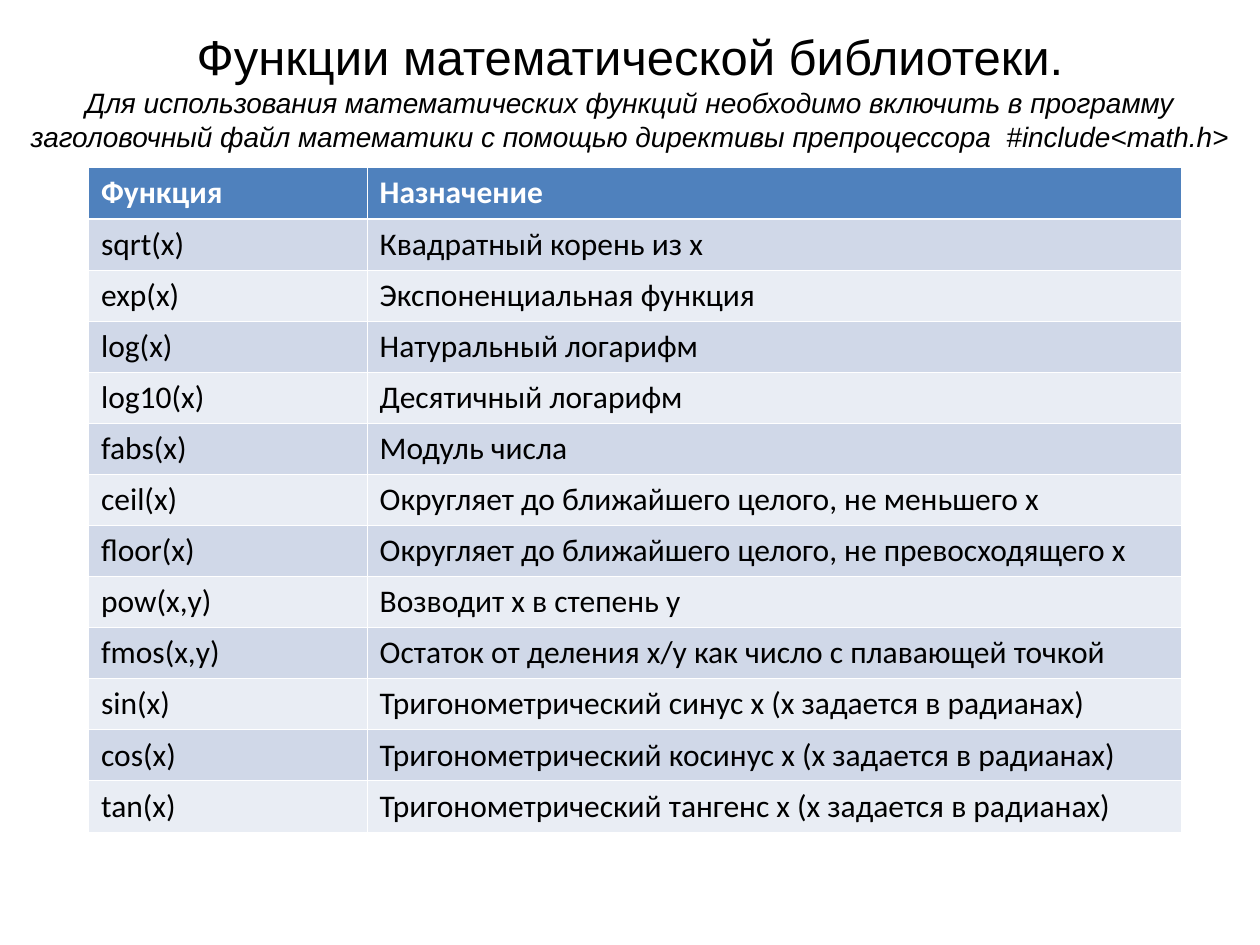
from dataclasses import dataclass

from lxml import etree
from pptx import Presentation
from pptx.dml.color import RGBColor
from pptx.enum.text import PP_ALIGN
from pptx.oxml.ns import qn
from pptx.util import Pt

CENTER, LEFT = PP_ALIGN.CENTER, PP_ALIGN.LEFT


@dataclass(frozen=True)
class Theme:
    black: str = "000000"
    white: str = "FFFFFF"
    header: str = "4F81BD"
    bands: tuple = ("D0D8E8", "E9EDF4")
    heading_font: str = "Arial"
    table_font: str = "Calibri"
    title_size: float = 28
    note_size: float = 16
    table_size: float = 18
    thin: float = 0.45
    thick: float = 1.47


theme = Theme()


def write(frame, text, align, color, **formats):
    para = frame.paragraphs[0]
    para.alignment = align
    span = para.add_run()
    span.text = text
    span.font.color.rgb = RGBColor.from_string(color)
    for name, value in formats.items():
        setattr(span.font, name, value)


def add_border(cell, side, width):
    line = etree.SubElement(cell._tc.get_or_add_tcPr(), qn(f"a:{side}"), w=str(Pt(width)))
    fill = etree.SubElement(line, qn("a:solidFill"))
    etree.SubElement(fill, qn("a:srgbClr"), val=theme.white)


deck = Presentation()
deck.slide_width, deck.slide_height = Pt(720), Pt(540)
page = deck.slides.add_slide(deck.slide_layouts[6])

# Title and the note under it
headings = [
    ("Функции математической библиотеки.", 11.5, 39.6,
     {"size": Pt(theme.title_size)}),
    ("Для использования математических функций необходимо включить в программу "
     "заголовочный файл математики с помощью директивы препроцессора  #include<math.h>",
     45.4, 50.4, {"size": Pt(theme.note_size), "italic": True}),
]
for text, top, height, formats in headings:
    box = page.shapes.add_textbox(Pt(0), Pt(top), Pt(720), Pt(height))
    box.text_frame.word_wrap = True
    write(box.text_frame, text, CENTER, theme.black, name=theme.heading_font, **formats)

# Table of functions
rows = [
    ("Функция", "Назначение"),
    ("sqrt(x)", "Квадратный корень из х"),
    ("exp(x)", "Экспоненциальная функция"),
    ("log(x)", "Натуральный логарифм"),
    ("log10(x)", "Десятичный логарифм"),
    ("fabs(x)", "Модуль числа"),
    ("ceil(x)", "Округляет до ближайшего целого, не меньшего х"),
    ("floor(x)", "Округляет до ближайшего целого, не превосходящего х"),
    ("pow(x,y)", "Возводит х в степень у"),
    ("fmos(x,y)", "Остаток от деления х/у как число с плавающей точкой"),
    ("sin(x)", "Тригонометрический синус х (х задается в радианах)"),
    ("cos(x)", "Тригонометрический косинус х (х задается в радианах)"),
    ("tan(x)", "Тригонометрический тангенс х (х задается в радианах)"),
]
column_widths = (159.2, 465.1)
row_height = 29.2
table = page.shapes.add_table(
    len(rows), len(column_widths), Pt(50.6), Pt(95.8),
    Pt(sum(column_widths)), Pt(row_height * len(rows))).table
for column, width in zip(table.columns, column_widths):
    column.width = Pt(width)

for row_index, row in enumerate(rows):
    table.rows[row_index].height = Pt(row_height)
    is_header = row_index == 0
    fill_color = theme.header if is_header else theme.bands[(row_index - 1) % 2]
    text_color = theme.white if is_header else theme.black
    borders = {
        "lnL": theme.thin,
        "lnR": theme.thin,
        "lnT": theme.thick if row_index == 1 else theme.thin,
        "lnB": theme.thick if is_header else theme.thin,
    }
    for column_index, text in enumerate(row):
        cell = table.cell(row_index, column_index)
        for side, width in borders.items():
            add_border(cell, side, width)
        cell.fill.solid()
        cell.fill.fore_color.rgb = RGBColor.from_string(fill_color)
        write(cell.text_frame, text, LEFT, text_color, name=theme.table_font,
              size=Pt(theme.table_size), bold=is_header)

deck.save("out.pptx")
